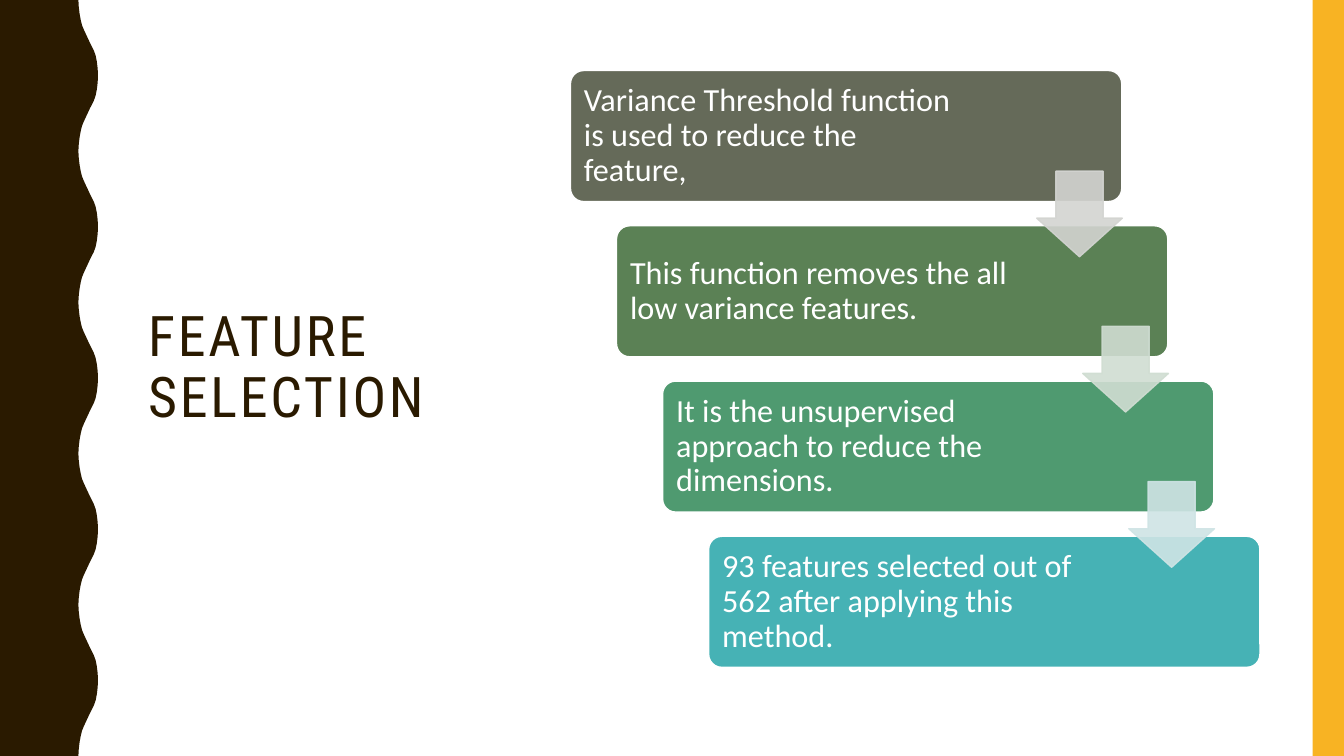
from lxml import etree
from pptx import Presentation
from pptx.dml.color import RGBColor
from pptx.enum.shapes import MSO_SHAPE
from pptx.enum.text import MSO_ANCHOR, MSO_AUTO_SIZE, PP_ALIGN
from pptx.oxml.ns import qn
from pptx.util import Pt

RECTANGLE, ROUNDED, ARROW = MSO_SHAPE.RECTANGLE, MSO_SHAPE.ROUNDED_RECTANGLE, MSO_SHAPE.DOWN_ARROW
MIDDLE, LEFT, NO_AUTOFIT = MSO_ANCHOR.MIDDLE, PP_ALIGN.LEFT, MSO_AUTO_SIZE.NONE

# Content
TITLE = "FEATURE SELECTION"
# Text, box color, text width
STEPS = [
    ("Variance Threshold function is used to reduce the feature,", "olive", 285.1),
    ("This function removes the all low variance features.", "moss", 294.5),
    ("It is the unsupervised approach to reduce the dimensions.", "green", 295),
    ("93 features selected out of 562 after applying this method.", "teal", 294.5),
]
ARROW_COLORS = ["pale_olive", "pale_moss", "pale_teal"]
COLORS = {
    "brown": "2A1A00", "gold": "F8B323", "white": "FFFFFF",
    "olive": "656A59", "moss": "5B8155", "green": "4F9A70", "teal": "46B2B5",
    "pale_olive": "D3D4D1", "pale_moss": "D0DDD2", "pale_teal": "CFE4E5",
}

# Layout in points
SLIDE_WIDTH, SLIDE_HEIGHT = 960, 540
STRIPE_WIDTH = 22.4
BOX_LEFT, BOX_TOP, BOX_WIDTH, BOX_HEIGHT = 407.5, 50.4, 393.8, 93.6
STEP_X, STEP_Y = 32.9, 110.9
TEXT_INSET = 2.75
ARROW_LEFT, ARROW_TOP, ARROW_SIZE = 740.5, 122.2, 61.2
# Half a wave: x and y from trough to crest
HALF_WAVE = [
    (56, 0), (56.3, 5), (56.9, 10), (57.7, 14.4), (58.6, 18), (59.8, 21),
    (61.2, 24), (62.7, 27.2), (64.1, 30.2), (65.5, 33), (67, 36), (68.3, 39.6),
    (69.2, 44), (69.8, 49), (70, 54),
]
HALF_HEIGHT = 54


def rgb(name):
    return RGBColor.from_string(COLORS[name])


def add_block(kind, left, top, width, height, color, outline=None):
    shape = slide.shapes.add_shape(kind, Pt(left), Pt(top), Pt(width), Pt(height))
    paint(shape, color, outline)
    return shape


def paint(shape, color, outline=None):
    shape.shadow.inherit = False
    shape.fill.solid()
    shape.fill.fore_color.rgb = rgb(color)
    if outline:
        shape.line.color.rgb = rgb(outline)
        shape.line.width = Pt(1)
    else:
        shape.line.fill.background()


def write(frame, text, size, font, color):
    frame.word_wrap = True
    frame.auto_size = NO_AUTOFIT
    frame.vertical_anchor = MIDDLE
    paragraph = frame.paragraphs[0]
    paragraph.alignment = LEFT
    paragraph.line_spacing = 0.9
    run = paragraph.add_run()
    run.text = text
    run.font.size = Pt(size)
    run.font.name = font
    run.font.color.rgb = rgb(color)
    return run


presentation = Presentation()
presentation.slide_width, presentation.slide_height = Pt(SLIDE_WIDTH), Pt(SLIDE_HEIGHT)
slide = presentation.slides.add_slide(presentation.slide_layouts[5])

# Wavy left edge: the half wave runs forward, then mirrored
wave = []
for half in range(SLIDE_HEIGHT // HALF_HEIGHT):
    for x, y in HALF_WAVE if half % 2 == 0 else reversed(HALF_WAVE):
        offset = y if half % 2 == 0 else HALF_HEIGHT - y
        wave.append((Pt(x), Pt(half * HALF_HEIGHT + offset)))
builder = slide.shapes.build_freeform(0, 0)
builder.add_line_segments(wave + [(0, Pt(SLIDE_HEIGHT))], close=True)
paint(builder.convert_to_shape(), "brown")

# Right stripe
add_block(RECTANGLE, SLIDE_WIDTH - STRIPE_WIDTH, 0, STRIPE_WIDTH, SLIDE_HEIGHT, "gold")

# Title
title = slide.shapes.title
title.left, title.top, title.width, title.height = Pt(98.6), Pt(50.4), Pt(266.4), Pt(426.2)
title_run = write(title.text_frame, TITLE, 40, "Roboto Condensed", "brown")
title_run.font._element.set("spc", "200")

# Staircase of steps
for index, (text, color, text_width) in enumerate(STEPS):
    left, top = BOX_LEFT + index * STEP_X, BOX_TOP + index * STEP_Y
    box = add_block(ROUNDED, left, top, BOX_WIDTH, BOX_HEIGHT, color, "white")
    box.adjustments[0] = 0.1
    label = slide.shapes.add_textbox(Pt(left + TEXT_INSET), Pt(top + TEXT_INSET),
                                     Pt(text_width), Pt(BOX_HEIGHT - 2 * TEXT_INSET))
    frame = label.text_frame
    frame.margin_left = frame.margin_right = frame.margin_top = frame.margin_bottom = Pt(6.9)
    write(frame, text, 23, "Calibri", "white")

# Translucent arrows between steps
for index, color in enumerate(ARROW_COLORS):
    arrow = add_block(ARROW, ARROW_LEFT + index * STEP_X, ARROW_TOP + index * STEP_Y,
                      ARROW_SIZE, ARROW_SIZE, color, color)
    arrow.adjustments[0], arrow.adjustments[1] = 0.55, 0.45
    for tint in arrow._element.spPr.iter(qn("a:srgbClr")):
        etree.SubElement(tint, qn("a:alpha")).set("val", "90000")

presentation.save("out.pptx")
